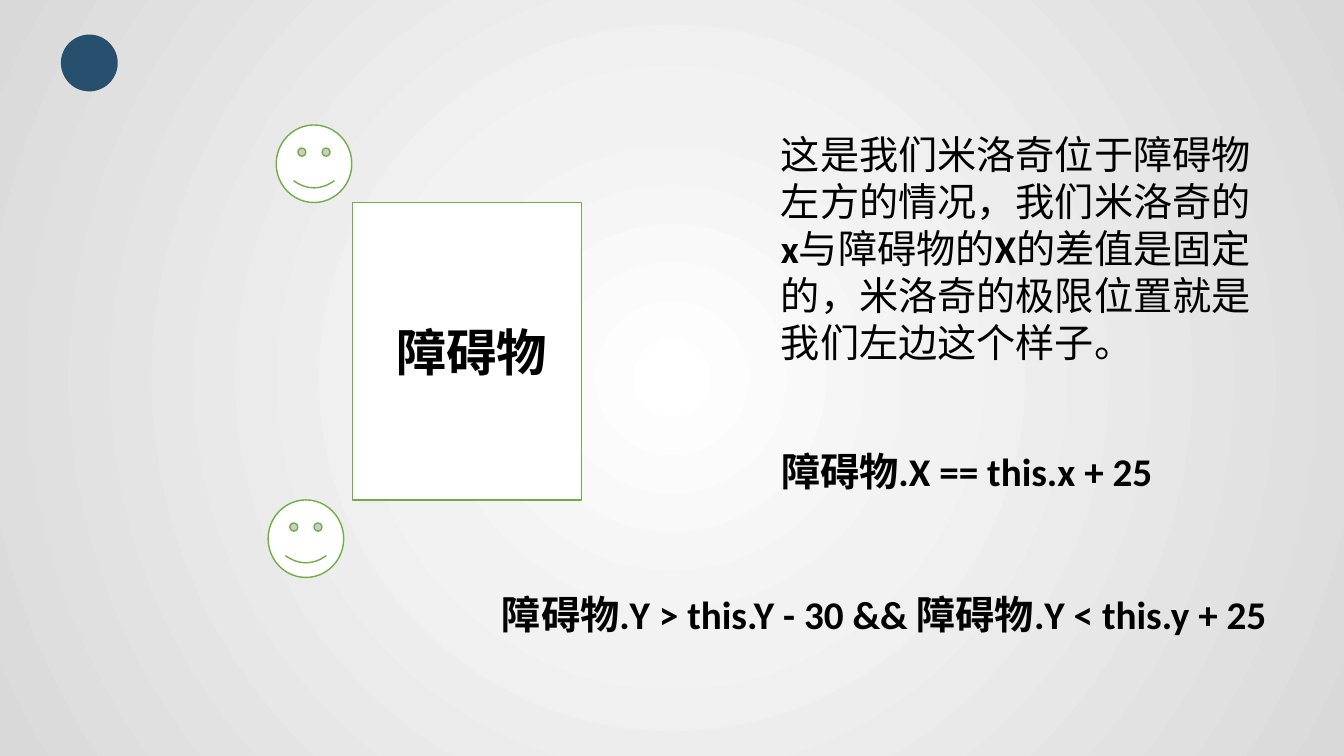
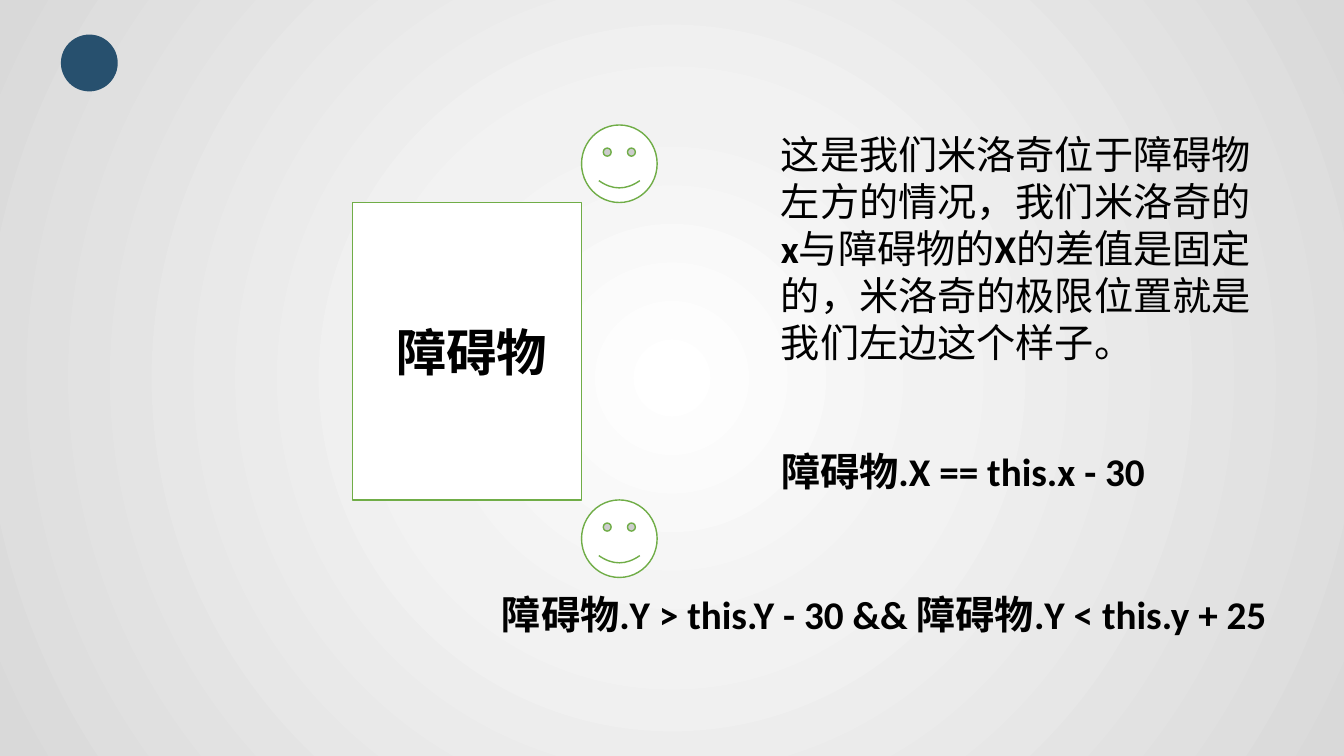
from pptx import Presentation
from pptx.dml.color import RGBColor
from pptx.enum import shapes, text
from pptx.oxml import parse_xml
from pptx.oxml.ns import nsdecls, qn
from pptx.util import Pt

WHITE = RGBColor(0xFF, 0xFF, 0xFF)
BLACK = RGBColor(0x00, 0x00, 0x00)
GREEN = RGBColor(0x70, 0xAD, 0x47)
NAVY = RGBColor(0x27, 0x50, 0x6E)
BACKDROP_STOPS = [(0, "FFFFFF"), (35, "F2F2F2"), (100, "D9D9D9")]
LATIN_FONT, CHINESE_FONT = "Calibri", "Noto Sans CJK SC"

# Left, top, width, height in points
BADGE = (44, 25.2, 39.6, 39.6)
OBSTACLE = (252, 144.7, 163.4, 212.4)
EXPLANATION_BOX = (550.8, 89.3, 355.7, 177.1)
X_RULE_BOX = (550.8, 316.1, 301.7, 41)
Y_RULE_BOX = (351.4, 418.3, 586.8, 41)
FACE_WIDTH, FACE_HEIGHT = 54, 55.4
LABEL_INDENT = 31

OBSTACLE_LABEL = "障碍物"
# Text and whether it is bold
EXPLANATION = [
    ("这是我们米洛奇位于障碍物左方的情况，我们米洛奇的", False),
    ("x", True),
    ("与障碍物的", False),
    ("X", True),
    ("的差值是固定的，米洛奇的极限位置就是我们左边这个样子。", False),
]
Y_RULE = "障碍物.Y > this.Y - 30 && 障碍物.Y < this.y + 25"

obstacle_left, obstacle_top, obstacle_width, obstacle_height = OBSTACLE
obstacle_right = obstacle_left + obstacle_width
obstacle_bottom = obstacle_top + obstacle_height
beside_left = obstacle_left - FACE_WIDTH

SLIDES = [
    {"x_rule": "障碍物.X == this.x + 25",
     "face_lefts": (beside_left - 0.7, beside_left - 6.5)},
    {"x_rule": "障碍物.X == this.x - 30",
     "face_lefts": (obstacle_right, obstacle_right)},
]


def set_backdrop(master):
    """Give every slide the same radial gradient."""
    master.background.fill.gradient()
    gradient = master.element.find(".//" + qn("a:gradFill"))
    stops = "".join(
        f'<a:gs pos="{position * 1000}"><a:srgbClr val="{color}"/></a:gs>'
        for position, color in BACKDROP_STOPS)
    gradient.getparent().replace(gradient, parse_xml(
        f'<a:gradFill {nsdecls("a")} rotWithShape="1"><a:gsLst>{stops}</a:gsLst>'
        '<a:path path="circle">'
        '<a:fillToRect l="50000" t="50000" r="50000" b="50000"/>'
        '</a:path></a:gradFill>'))


def write(frame, runs, size=28, bold=True, color=BLACK):
    """Write a string, or a list of (text, bold) pairs, as one paragraph."""
    frame.word_wrap = True
    paragraph = frame.paragraphs[0]
    paragraph.alignment = text.PP_ALIGN.LEFT
    for words, run_bold in [(runs, bold)] if isinstance(runs, str) else runs:
        run = paragraph.add_run()
        run.text = words
        font = run.font
        font.name, font.size, font.bold = LATIN_FONT, Pt(size), run_bold
        font.color.rgb = color
        run.font._element.find(qn("a:latin")).addnext(
            parse_xml(f'<a:ea {nsdecls("a")} typeface="{CHINESE_FONT}"/>'))


def add_text(slide, box, runs, **style):
    frame = slide.shapes.add_textbox(*map(Pt, box)).text_frame
    write(frame, runs, **style)
    frame.auto_size = text.MSO_AUTO_SIZE.SHAPE_TO_FIT_TEXT


def add_figure(slide, kind, box, fill=WHITE, line=GREEN):
    shape = slide.shapes.add_shape(kind, *map(Pt, box))
    shape.shadow.inherit = False
    shape.fill.solid()
    shape.fill.fore_color.rgb = fill
    shape.line.color.rgb = line
    shape.line.width = Pt(1)
    return shape


def add_case(presentation, x_rule, face_lefts):
    slide = presentation.slides.add_slide(presentation.slide_layouts[6])
    add_figure(slide, shapes.MSO_SHAPE.OVAL, BADGE, fill=NAVY, line=NAVY)

    obstacle = add_figure(slide, shapes.MSO_SHAPE.RECTANGLE, OBSTACLE)
    write(obstacle.text_frame, OBSTACLE_LABEL, size=36)
    obstacle.text_frame.margin_left = Pt(LABEL_INDENT)
    obstacle.text_frame.vertical_anchor = text.MSO_ANCHOR.MIDDLE

    face_tops = (obstacle_top - FACE_HEIGHT, obstacle_bottom)
    for left, top in zip(face_lefts, face_tops):
        add_figure(slide, shapes.MSO_SHAPE.SMILEY_FACE,
                   (left, top, FACE_WIDTH, FACE_HEIGHT))

    add_text(slide, EXPLANATION_BOX, EXPLANATION)
    add_text(slide, X_RULE_BOX, x_rule)
    add_text(slide, Y_RULE_BOX, Y_RULE)


def main():
    presentation = Presentation()
    presentation.slide_width, presentation.slide_height = Pt(960), Pt(540)
    set_backdrop(presentation.slide_master)
    for case in SLIDES:
        add_case(presentation, **case)
    presentation.save("out.pptx")


if __name__ == "__main__":
    main()
